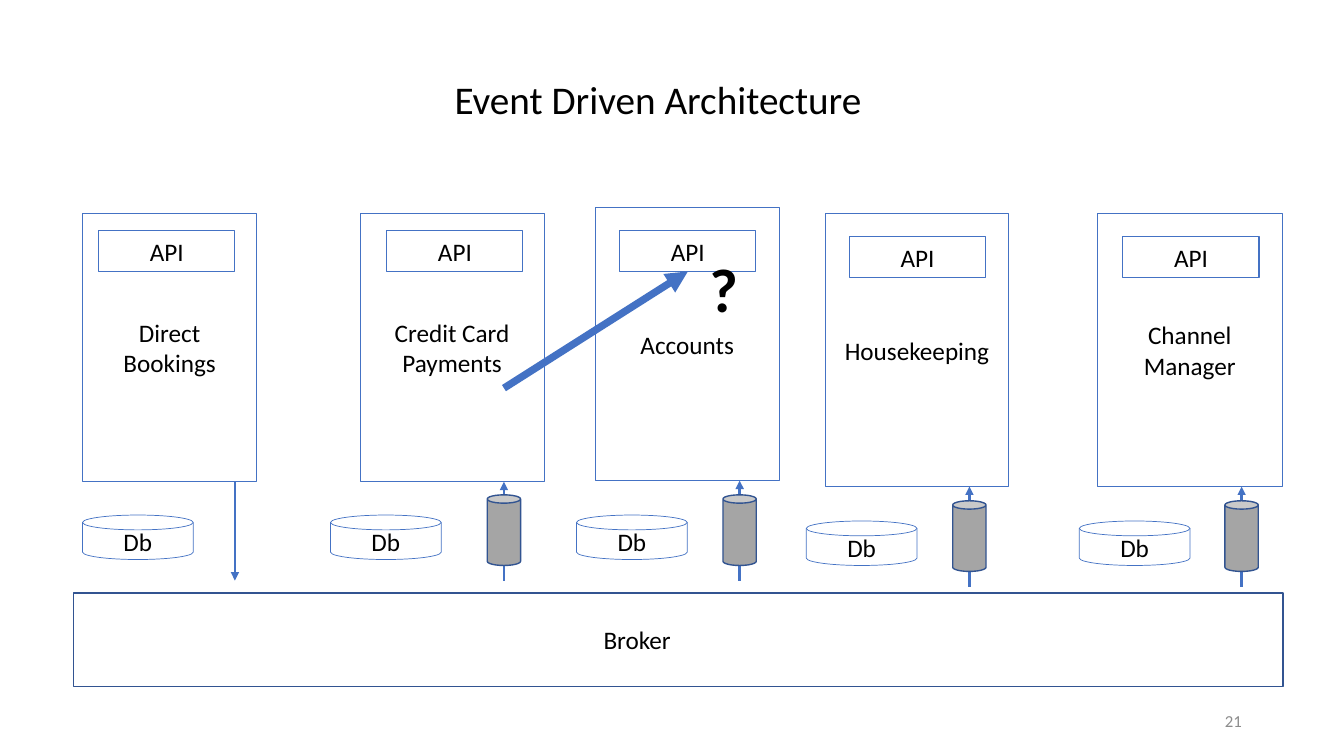
from pptx import Presentation
from pptx.dml.color import RGBColor
from pptx.enum.shapes import MSO_CONNECTOR, MSO_SHAPE
from pptx.enum.text import MSO_ANCHOR, MSO_AUTO_SIZE, PP_ALIGN
from pptx.oxml.ns import qn
from pptx.util import Cm, Pt
from lxml import etree

RECT, CAN, DISK = MSO_SHAPE.RECTANGLE, MSO_SHAPE.CAN, MSO_SHAPE.FLOWCHART_MAGNETIC_DISK
STRAIGHT = MSO_CONNECTOR.STRAIGHT
TOP, MIDDLE = MSO_ANCHOR.TOP, MSO_ANCHOR.MIDDLE
LEFT, CENTER, RIGHT = PP_ALIGN.LEFT, PP_ALIGN.CENTER, PP_ALIGN.RIGHT
FIXED = MSO_AUTO_SIZE.NONE

COLORS = {"blue": "4472C4", "navy": "325491", "gray": "A5A5A5",
          "pale": "8C8C8C", "black": "000000"}

# label, left, top, width, height, API left, Db left, pipe centre, drop of the parts
SERVICES = [
    ("Direct\nBookings", 2.08, 5.38, 4.39, 6.76, 2.49, 2.08, 5.92, 0),
    ("Credit Card\nPayments", 9.07, 5.38, 4.65, 6.76, 9.75, 8.33, 12.7, 0),
    ("Accounts", 15.01, 5.23, 4.62, 6.88, 15.62, 14.53, 18.64, 0),
    ("Housekeeping", 20.8, 5.38, 4.62, 6.88, 21.41, 20.32, 24.43, 0.15),
    ("Channel Manager", 27.66, 5.38, 4.65, 6.88, 28.3, 27.2, 31.29, 0.15),
]


def rgb(name):
    return RGBColor.from_string(COLORS[name])


def write(shape, text, size=18, color="black", bold=False, align=CENTER,
          anchor=MIDDLE, wrap=True):
    frame = shape.text_frame
    frame.text = text
    body = {"auto_size": FIXED, "word_wrap": wrap, "vertical_anchor": anchor}
    for key, value in body.items():
        setattr(frame, key, value)
    font = {"name": "Calibri", "size": Pt(size), "bold": bold}
    for para in frame.paragraphs:
        para.alignment = align
        for key, value in font.items():
            setattr(para.font, key, value)
        para.font.color.rgb = rgb(color)


def label(slide, text, box, **style):
    write(slide.shapes.add_textbox(*map(Cm, box)), text, **style)


def block(slide, kind, box, line="blue", width=0.5, fill=None, text=None, **style):
    shape = slide.shapes.add_shape(kind, *map(Cm, box))
    shape.shadow.inherit = False
    if fill:
        shape.fill.solid()
        shape.fill.fore_color.rgb = rgb(fill)
    else:
        shape.fill.background()
    shape.line.color.rgb = rgb(line)
    shape.line.width = Pt(width)
    if text:
        write(shape, text, **style)
    return shape


def arrow(slide, start, end, width=2):
    link = slide.shapes.add_connector(STRAIGHT, *map(Cm, start + end))
    link.line.color.rgb = rgb("blue")
    link.line.width = Pt(width)
    etree.SubElement(link.line._get_or_add_ln(), qn("a:tailEnd"), type="triangle")
    etree.SubElement(link._element.spPr, qn("a:effectLst"))
    return link


def service(slide, name, left, top, width, height, api, store, pipe, drop):
    """Draw one service with its parts and return its API box."""
    block(slide, RECT, (left, top, width, height), text=name)
    door = block(slide, RECT, (api, 5.82 + drop, 3.43, 1.02), width=0.75,
                 text="API", anchor=TOP)
    block(slide, DISK, (store, 12.98 + drop, 2.79, 1.12), text="Db")
    high, low = (pipe, top + height), (pipe, 14.63 + drop)
    if name.startswith("Direct"):
        arrow(slide, high, low)
    else:
        arrow(slide, low, high)
        block(slide, CAN, (pipe - 0.42, 12.47 + drop, 0.84, 1.78),
              line="navy", width=1, fill="gray")
    return door


def main():
    deck = Presentation()
    deck.slide_width, deck.slide_height = Cm(33.87), Cm(19.05)
    slide = deck.slides.add_slide(deck.slide_layouts[5])

    title = slide.shapes.title
    place = {"left": 7.37, "top": 1.78, "width": 18.42, "height": 1.45}
    for key, value in place.items():
        setattr(title, key, Cm(value))
    write(title, "Event Driven Architecture", size=28, anchor=TOP)

    block(slide, RECT, (1.85, 14.94, 30.48, 2.36), line="navy", width=1)
    label(slide, "Broker", (14.96, 15.6, 2.24, 1.02), align=LEFT, anchor=TOP, wrap=False)

    doors = [service(slide, *row) for row in SERVICES]
    call = arrow(slide, (12.7, 9.78), (17.34, 6.84), width=5.25)
    call.end_connect(doors[2], 2)
    label(slide, "?", (17.63, 6.2, 1.02, 2.13), size=44, bold=True, align=LEFT, anchor=TOP)
    label(slide, "21", (23.93, 17.65, 7.62, 1.02), size=12, color="pale", align=RIGHT)

    deck.save("out.pptx")


if __name__ == "__main__":
    main()
